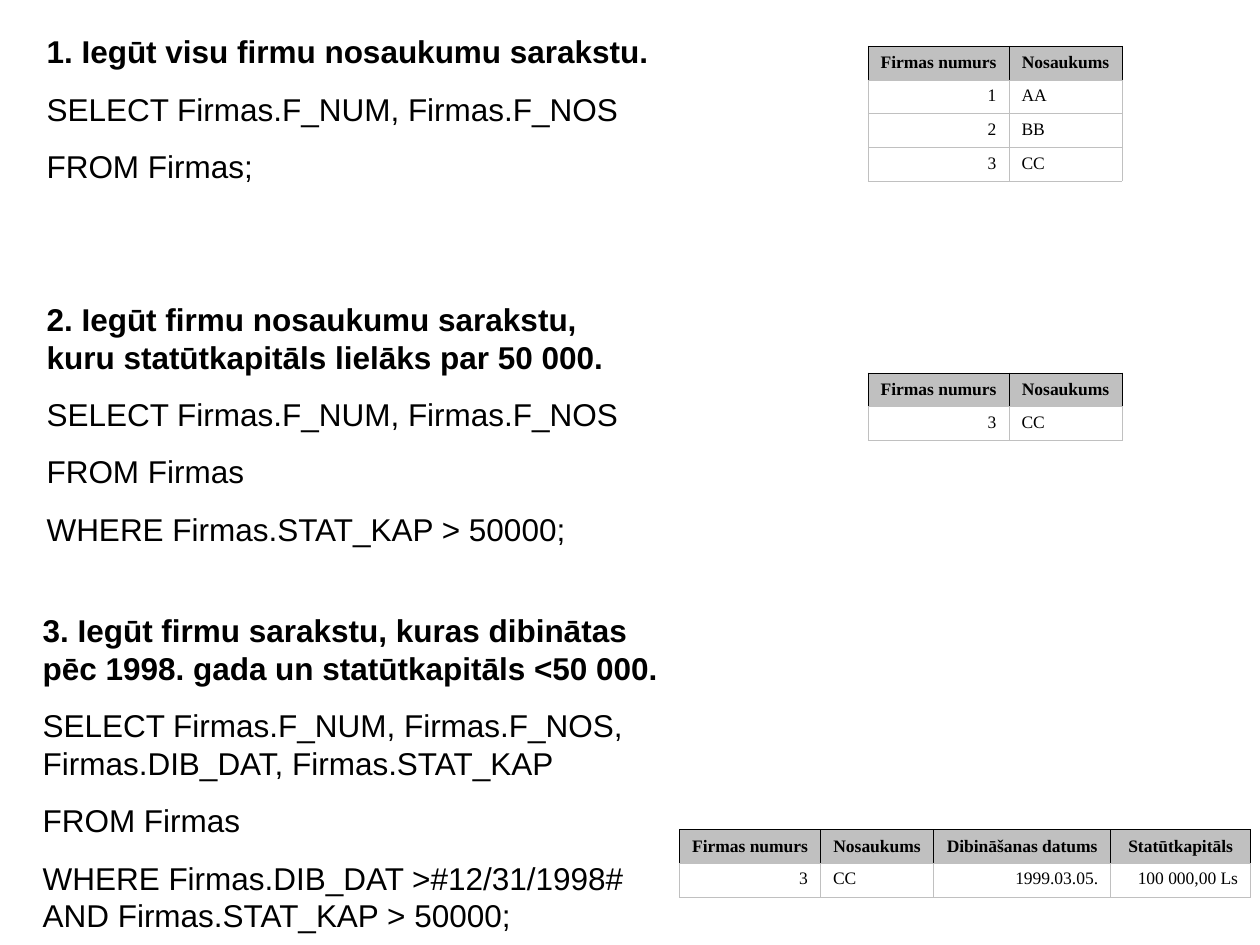
from pptx import Presentation
from pptx.dml.color import RGBColor
from pptx.enum.text import MSO_ANCHOR, MSO_AUTO_SIZE, PP_ALIGN
from pptx.oxml import parse_xml
from pptx.oxml.ns import nsdecls
from pptx.util import Cm, Pt

BLACK, GREY, WHITE = "000000", "C0C0C0", "FFFFFF"


def rgb(value):
    return RGBColor.from_string(value)


class QuerySlide:
    """Style and element builders for one slide of SQL queries."""
    query_font, query_size = "Arial", 18
    table_font, table_size = "Times New Roman", 10
    row_height = 0.68
    border_width = 0.45

    def __init__(self, prs):
        self.s = prs.slides.add_slide(prs.slide_layouts[6])

    def style(self, p, name, size, bold):
        p.font.name = name
        p.font.size = Pt(size)
        p.font.bold = bold
        p.font.color.rgb = rgb(BLACK)

    def query(self, left, top, width, height, lines):
        """Bold task followed by the clauses of its query."""
        sp = self.s.shapes.add_textbox(Cm(left), Cm(top), Cm(width), Cm(height))
        tf = sp.text_frame
        tf.word_wrap = True
        tf.auto_size = MSO_AUTO_SIZE.SHAPE_TO_FIT_TEXT
        for i, line in enumerate(lines):
            p = tf.add_paragraph() if i else tf.paragraphs[0]
            p.text = line
            p.space_before = Pt(11.2 if i else 0)
            self.style(p, self.query_font, self.query_size, i == 0)

    def borders(self, cell, colors):
        tc_pr = cell._tc.get_or_add_tcPr()
        for side, color in zip("LRTB", colors):
            tc_pr.append(parse_xml(
                f'<a:ln{side} {nsdecls("a")} w="{Pt(self.border_width)}">'
                f'<a:solidFill><a:srgbClr val="{color}"/></a:solidFill>'
                f'</a:ln{side}>'))

    def result(self, left, top, widths, rows):
        """Result table: grey header, numbers and dates to the right."""
        table = self.s.shapes.add_table(
            len(rows), len(widths), Cm(left), Cm(top),
            Cm(sum(widths)), Cm(self.row_height * len(rows))).table
        table.horz_banding = False
        for column, width in zip(table.columns, widths):
            column.width = Cm(width)
        for i, values in enumerate(rows):
            header = i == 0
            table.rows[i].height = Cm(self.row_height)
            for j, value in enumerate(values):
                cell = table.cell(i, j)
                side = BLACK if header else GREY
                self.borders(cell, (side, side, side, GREY))
                cell.fill.solid()
                cell.fill.fore_color.rgb = rgb(GREY if header else WHITE)
                cell.vertical_anchor = MSO_ANCHOR.MIDDLE if header else MSO_ANCHOR.TOP
                p = cell.text_frame.paragraphs[0]
                p.text = value
                if header:
                    p.alignment = PP_ALIGN.CENTER
                else:
                    p.alignment = PP_ALIGN.RIGHT if value[0].isdigit() else PP_ALIGN.LEFT
                self.style(p, self.table_font, self.table_size, header)


def main():
    prs = Presentation()
    prs.slide_width, prs.slide_height = Cm(25.4), Cm(19.05)
    slide = QuerySlide(prs)
    widths = [2.84, 2.28, 3.57, 2.82]
    headers = ["Firmas numurs", "Nosaukums", "Dibināšanas datums", "Statūtkapitāls"]

    # Query 1: all companies
    slide.query(0.69, 0.53, 12.7, 3.35, [
        "1. Iegūt visu firmu nosaukumu sarakstu.",
        "SELECT Firmas.F_NUM, Firmas.F_NOS",
        "FROM Firmas;"])
    slide.result(17.5, 0.93, widths[:2],
                 [headers[:2], ["1", "AA"], ["2", "BB"], ["3", "CC"]])

    # Query 2: filter on capital
    slide.query(0.69, 5.92, 12.7, 5.26, [
        "2. Iegūt firmu nosaukumu sarakstu, kuru statūtkapitāls lielāks par 50 000.",
        "SELECT Firmas.F_NUM, Firmas.F_NOS",
        "FROM Firmas",
        "WHERE Firmas.STAT_KAP > 50000;"])
    slide.result(17.5, 7.52, widths[:2], [headers[:2], ["3", "CC"]])

    # Query 3: filter on date and capital
    slide.query(0.61, 12.19, 13.31, 6.78, [
        "3. Iegūt firmu sarakstu, kuras dibinātas pēc 1998. gada un statūtkapitāls <50 000.",
        "SELECT Firmas.F_NUM, Firmas.F_NOS, Firmas.DIB_DAT, Firmas.STAT_KAP",
        "FROM Firmas",
        "WHERE Firmas.DIB_DAT >#12/31/1998# AND Firmas.STAT_KAP > 50000;"])
    slide.result(13.7, 16.72, widths,
                 [headers, ["3", "CC", "1999.03.05.", "100 000,00 Ls"]])

    prs.save("out.pptx")


if __name__ == "__main__":
    main()
